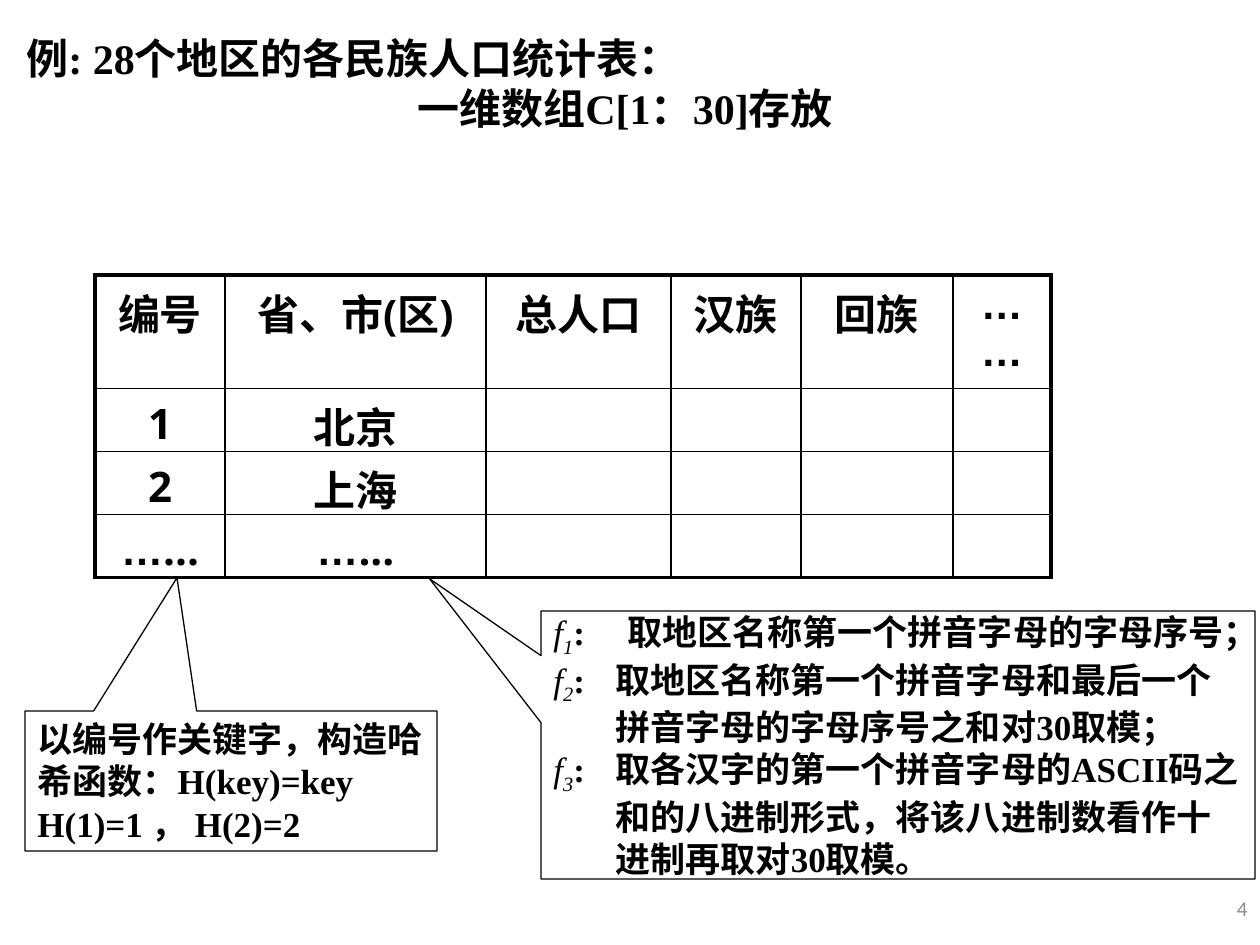
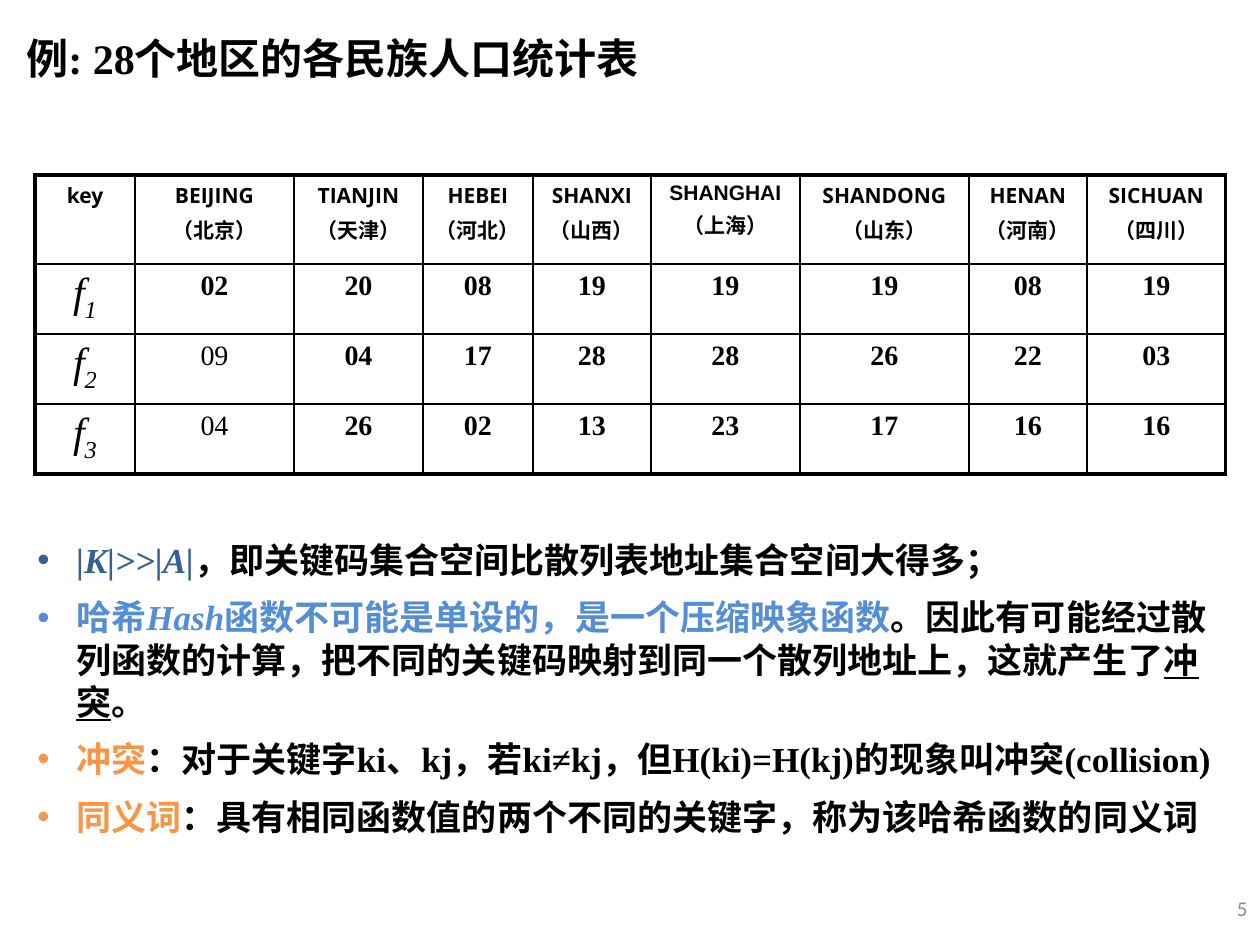
import pptx
import pptx.util
import pptx.dml.color
import pptx.enum.lang
import pptx.enum.shapes
import pptx.enum.text
import pptx.oxml
import pptx.oxml.ns

INK = {"black": "000000", "grey": "8C8C8C", "navy": "376092",
       "blue": "558ED5", "amber": "F79646"}
ROMAN, SANS, ARIAL = "Times New Roman", "Open Sans", "Arial"
EMU = 914400 / 126
Pt = pptx.util.Pt
ALIGN = pptx.enum.text.PP_ALIGN
FIT = pptx.enum.text.MSO_AUTO_SIZE
MID = pptx.enum.text.MSO_ANCHOR.MIDDLE
CHINA = pptx.enum.lang.MSO_LANGUAGE_ID.SIMPLIFIED_CHINESE
NS = pptx.oxml.ns.nsdecls("a")


def px(n):
    return pptx.util.Emu(round(n * EMU))


def write(frame, paras, base, align=ALIGN.LEFT, hang=None, parts=""):
    """Each paragraph is a list of (text, format) runs; hang holds (margin, indent) pairs."""
    for i, runs in enumerate(paras):
        para = frame.paragraphs[0] if i == 0 else frame.add_paragraph()
        para.alignment = align
        props = para._p.get_or_add_pPr()
        if hang:
            left, first = hang[i]
            props.set("marL", str(px(left)))
            props.set("indent", str(px(first)))
        if parts:
            for node in pptx.oxml.parse_xml(f"<a:pPr {NS}>{parts}</a:pPr>"):
                props.append(node)
        for text, fmt in runs:
            run = para.add_run()
            run.text = text
            look = {"language_id": CHINA, "ink": "black", **base, **fmt}
            tint, drop = look.pop("ink"), look.pop("drop", None)
            for key, val in look.items():
                setattr(run.font, key, val)
            run.font.color.rgb = pptx.dml.color.RGBColor.from_string(INK[tint])
            if drop:
                run.font._element.set("baseline", str(drop))


# Shared formats
HEAD = {"size": Pt(24), "name": ROMAN, "bold": True}
BODY = {**HEAD, "size": Pt(20)}
FOOT = {"size": Pt(12), "name": "Calibri", "ink": "grey"}
SLANT = {"bold": False, "italic": True}
SUB = {**SLANT, "drop": -25000}
BEFORE = '<a:spcBef><a:spcPct val="20000"/></a:spcBef>'
BULLET = ('<a:spcAft><a:spcPts val="900"/></a:spcAft>'
          '<a:buFont typeface="Arial"/><a:buChar char="•"/>')

deck = pptx.Presentation()
deck.slide_width, deck.slide_height = px(1260), px(945)
pages = [deck.slides.add_slide(deck.slide_layouts[6]) for _ in range(2)]

# Titles and page numbers
title = "例: 28个地区的各民族人口统计表"
tops = [([[(title + "：", {})], [("一维数组C[1：30]存放", {})]], 1053, 115, True),
        ([[(title, {})]], 662, 63, False)]
for num, (page, (lines, wide, high, wrap)) in enumerate(zip(pages, tops), 4):
    box = page.shapes.add_textbox(px(14), px(26), px(wide), px(high))
    box.text_frame.word_wrap = wrap
    box.text_frame.auto_size = FIT.SHAPE_TO_FIT_TEXT
    write(box.text_frame, lines, HEAD, hang=[(0, 0), (0, 391)])
    box = page.shapes.add_textbox(px(1206), px(883), px(54), px(50))
    box.text_frame.word_wrap = True
    box.text_frame.vertical_anchor = MID
    write(box.text_frame, [[(str(num), {})]], FOOT, ALIGN.RIGHT)

# Table contents: a cell is a list of paragraphs
dots = [[("…", {"name": ARIAL}), ("...", {})]]
names = ["编号", "省、市(区)", "总人口", "汉族", "回族"]
people = [[[[(name, {})]] for name in names] + [[[("……", {"name": ARIAL})]]]]
for key, city in ("1", "北京"), ("2", "上海"):
    people.append([[[(key, {})]], [[(city, {})]]] + [[]] * 4)
people.append([dots, dots] + [[]] * 4)

places = {"BEIJING": "北京", "TIANJIN": "天津", "HEBEI": "河北", "SHANXI": "山西",
          "SHANGHAI": "上海", "SHANDONG": "山东", "HENAN": "河南", "SICHUAN": "四川"}
codes = ["02 20 08 19 19 19 08 19", "09 04 17 28 28 26 22 03",
         "04 26 02 13 23 17 16 16"]
hashes = [[[[("key", {})]]]]
for name, han in places.items():
    face = {"name": ARIAL} if name == "SHANGHAI" else {}
    hashes[0].append([[(name, face)], [(f"（{han}）", {})]])
for n, line in enumerate(codes, 1):
    row = [[[("f", {**HEAD, **SLANT}), (str(n), {**HEAD, **SUB})]]]
    for c, code in enumerate(line.split()):
        bold = c > 0 or n == 1
        row.append([[(code, {"size": Pt(16), "name": ROMAN, "bold": bold})]])
    hashes.append(row)

# Tables with a heavy outer frame
grids = [(people, 95, 275, [130, 261, 185, 130, 152, 98], [113, 63, 63, 63], 24),
         (hashes, 35, 175, [100, 159, 129, 110, 118, 149, 169, 118, 139],
          [89, 67, 67, 67], 12)]
for page, (data, left, top, cols, rows, size) in zip(pages, grids):
    grid = page.shapes.add_table(len(rows), len(cols), px(left), px(top),
                                 px(sum(cols)), px(sum(rows))).table
    grid.first_row = grid.horz_banding = False
    for col, wide in zip(grid.columns, cols):
        col.width = px(wide)
    for row, high in zip(grid.rows, rows):
        row.height = px(high)
    base = {"size": Pt(size), "name": SANS, "bold": True}
    for r, row in enumerate(data):
        for c, paras in enumerate(row):
            cell = grid.cell(r, c)
            edges = {"L": c == 0, "R": c == len(cols) - 1,
                     "T": r == 0, "B": r == len(rows) - 1}
            for side, outer in edges.items():
                wide = Pt(2.25 if outer else 1)
                cell._tc.get_or_add_tcPr().append(pptx.oxml.parse_xml(
                    f'<a:ln{side} {NS} w="{wide}"><a:solidFill>'
                    f'<a:srgbClr val="{INK["black"]}"/></a:solidFill></a:ln{side}>'))
            cell.fill.background()
            flat = page is pages[1] and c == 1 and r > 1
            write(cell.text_frame, paras, base, ALIGN.CENTER,
                  parts="" if flat else BEFORE)

# Callouts on the first slide
keys = [[("以编号作关键字，构造哈希函数：H(key)=key", {})],
        [("H(1)=1 ， H(2)=2", {})]]
rules = ["取地区名称第一个拼音字母的字母序号；",
         "取地区名称第一个拼音字母和最后一个拼音字母的字母序号之和对30取模；",
         "取各汉字的第一个拼音字母的ASCII码之和的八进制形式，将该八进制数看作十进制再取对30取模。"]
steps = [[("f", SLANT), (str(n), SUB), (":\t" + rule, {})]
         for n, rule in enumerate(rules, 1)]
notes = [(keys, (25, 711, 412, 140), (-0.131, -1.452), None),
         (steps, (541, 611, 714, 268), (-0.656, -0.62),
          [(74, -74), (62, -62), (62, -62)])]
for paras, place, tip, hang in notes:
    note = pages[0].shapes.add_shape(
        pptx.enum.shapes.MSO_SHAPE.RECTANGULAR_CALLOUT, *map(px, place))
    note.adjustments[0], note.adjustments[1] = tip
    note.shadow.inherit = False
    note.fill.background()
    note.line.color.rgb = pptx.dml.color.RGBColor.from_string(INK["black"])
    note.line.width = Pt(0.75)
    note.text_frame.word_wrap = True
    note.text_frame.vertical_anchor = MID
    write(note.text_frame, paras, BODY, hang=hang)

# Bulleted remarks on the second slide
blue, amber = {"ink": "blue"}, {"ink": "amber"}
points = [
    [("|K|>>|A|", {"ink": "navy", "italic": True}),
     ("，即关键码集合空间比散列表地址集合空间大得多；", {})],
    [("哈希", blue), ("Hash", {**blue, "italic": True}),
     ("函数不可能是单设的，是一个压缩映象函数", blue),
     ("。因此有可能经过散列函数的计算，把不同的关键码映射到同一个散列地址上，这就产生了", {}),
     ("冲突", {"underline": True}), ("。", {})],
    [("冲突", amber),
     ("：对于关键字ki、kj，若ki≠kj，但H(ki)=H(kj)的现象叫冲突(collision)", {})],
    [("同义词", amber),
     ("：具有相同函数值的两个不同的关键字，称为该哈希函数的同义词", {})]]
box = pages[1].shapes.add_textbox(px(25), px(532), px(1221), px(272))
box.text_frame.word_wrap = True
box.text_frame.auto_size = FIT.SHAPE_TO_FIT_TEXT
write(box.text_frame, points, BODY, hang=[(39, -39)] * 4, parts=BULLET)

deck.save("out.pptx")
